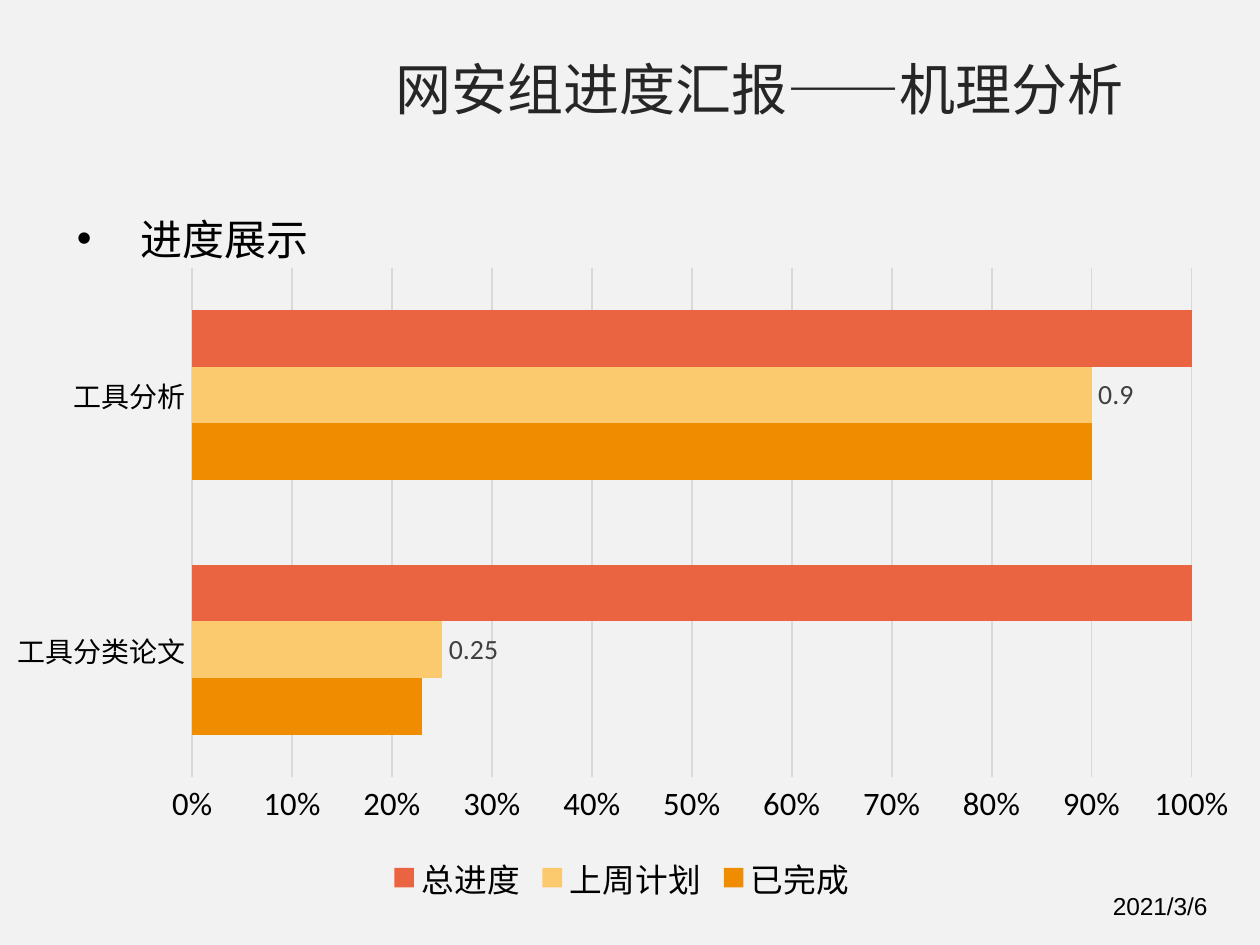
from dataclasses import dataclass

from lxml.etree import SubElement
from pptx import Presentation
from pptx.chart.data import CategoryChartData
from pptx.dml.color import RGBColor
from pptx.enum.chart import (XL_CHART_TYPE, XL_LABEL_POSITION,
                             XL_LEGEND_POSITION, XL_TICK_MARK)
from pptx.enum.text import MSO_AUTO_SIZE
from pptx.oxml import parse_xml
from pptx.oxml.ns import nsdecls, qn
from pptx.util import Inches, Pt


@dataclass(frozen=True)
class Theme:
    """Colours, fonts and type sizes of the slide."""
    back: str = "F2F2F2"
    ink: str = "000000"
    dark: str = "262626"
    soft: str = "404040"
    grid: str = "D9D9D9"
    done: str = "F08C00"
    plan: str = "FBCA6E"
    total: str = "EA6441"
    han: str = "Noto Sans CJK SC"
    latin: str = "Calibri"
    plain: str = "Arial"
    title: float = 24
    head: float = 18
    axis: float = 14
    group: float = 12
    label: float = 11.9
    date: float = 10.5
    base: float = 10


THEME = Theme()
CELL = Inches(0.1)
COLS, ROWS = 75, 56.25
GROUPS = ["工具分类论文", "工具分析"]
SERIES = [("已完成", [0.23, 0.9], THEME.done),
          ("上周计划", [0.25, 0.9], THEME.plan),
          ("总进度", [1, 1], THEME.total)]
PLOT = {"x": 0.16, "y": 0.02, "w": 0.79, "h": 0.78}


def place(*cells):
    """Turn grid columns and rows into lengths."""
    return [round(cell * CELL) for cell in cells]


def style(font, size, color=THEME.ink, face=THEME.latin):
    """Set the size, colour and face of a font."""
    font.size = Pt(size)
    font.color.rgb = RGBColor.from_string(color)
    font.name = face


def add_text(slide, spot, words, size, color, face, wrap=True, grow=True):
    """Add a one-line text box and return its paragraph."""
    frame = slide.shapes.add_textbox(*place(*spot)).text_frame
    frame.word_wrap = wrap
    if grow:
        frame.auto_size = MSO_AUTO_SIZE.SHAPE_TO_FIT_TEXT
    line = frame.paragraphs[0]
    run = line.add_run()
    run.text = words
    style(run.font, size, color, face)
    if face == THEME.han:
        SubElement(run.font._element, qn("a:ea"), typeface=face)
    return line


def add_bullet(line, indent):
    """Give a paragraph a round bullet with a hanging indent."""
    line.space_before = Pt(0.2 * THEME.head)
    props = line._p.get_or_add_pPr()
    props.set("marL", str(indent))
    props.set("indent", str(-indent))
    SubElement(props, qn("a:buFont"), typeface=THEME.plain)
    SubElement(props, qn("a:buChar"), char="•")


def rule(line):
    """Draw a chart line in the grid colour."""
    line.color.rgb = RGBColor.from_string(THEME.grid)
    line.width = Pt(0.75)


def fix_plot(chart):
    """Hold the inner plot area at its share of the chart."""
    area = chart.element.find(".//" + qn("c:plotArea"))
    for old in area.findall(qn("c:layout")):
        area.remove(old)
    sides = "".join(f'<c:{key}Mode val="edge"/>' for key in "xy")
    sides += "".join(f'<c:{key} val="{part}"/>' for key, part in PLOT.items())
    area.insert(0, parse_xml(
        f'<c:layout {nsdecls("c")}><c:manualLayout>'
        f'<c:layoutTarget val="inner"/>{sides}</c:manualLayout></c:layout>'))


def set_axes(chart):
    """Style the group axis and the percent axis."""
    group, value = chart.category_axis, chart.value_axis
    for axis, size in ((group, THEME.group), (value, THEME.axis)):
        axis.major_tick_mark = axis.minor_tick_mark = XL_TICK_MARK.NONE
        style(axis.tick_labels.font, size)
    rule(group.format.line)
    value.format.line.fill.background()
    value.minimum_scale, value.maximum_scale = 0, 1
    value.major_unit = 0.1
    value.has_major_gridlines = True
    rule(value.major_gridlines.format.line)
    value.tick_labels.number_format = "0%"
    value.tick_labels.number_format_is_linked = False


def add_bars(slide, spot):
    """Add the progress bar chart."""
    data = CategoryChartData()
    data.categories = GROUPS
    for name, parts, _ in SERIES:
        data.add_series(name, parts)
    chart = slide.shapes.add_chart(
        XL_CHART_TYPE.BAR_CLUSTERED, *place(*spot), data).chart
    style(chart.font, THEME.base)
    chart.has_title = False
    plot = chart.plots[0]
    plot.gap_width, plot.overlap = 150, 0
    plot.vary_by_categories = False
    for bars, (_, _, color) in zip(plot.series, SERIES):
        bars.format.fill.solid()
        bars.format.fill.fore_color.rgb = RGBColor.from_string(color)
    tags = plot.series[1].data_labels
    tags.show_value = True
    tags.position = XL_LABEL_POSITION.OUTSIDE_END
    style(tags.font, THEME.label, THEME.soft)
    set_axes(chart)
    chart.has_legend = True
    chart.legend.position = XL_LEGEND_POSITION.BOTTOM
    chart.legend.include_in_layout = False
    style(chart.legend.font, THEME.axis)
    fix_plot(chart)


def main():
    """Build the progress slide and save it."""
    deck = Presentation()
    deck.slide_width, deck.slide_height = place(COLS, ROWS)
    slide = deck.slides.add_slide(deck.slide_layouts[6])
    slide.background.fill.solid()
    slide.background.fill.fore_color.rgb = RGBColor.from_string(THEME.back)
    add_text(slide, (22.55, 2.75, 48, 5), "网安组进度汇报——机理分析",
             THEME.title, THEME.dark, THEME.han, wrap=False)
    head = add_text(slide, (3.6, 12.2, 20.5, 4.9), "进度展示",
                    THEME.head, THEME.ink, THEME.han, grow=False)
    add_bullet(head, Inches(0.38))
    add_bars(slide, (-0.6, 15.15, 75.3, 38.9))
    add_text(slide, (65.25, 52.55, 9.9, 2.8), "2021/3/6",
             THEME.date, THEME.ink, THEME.plain)
    deck.save("out.pptx")


main()
